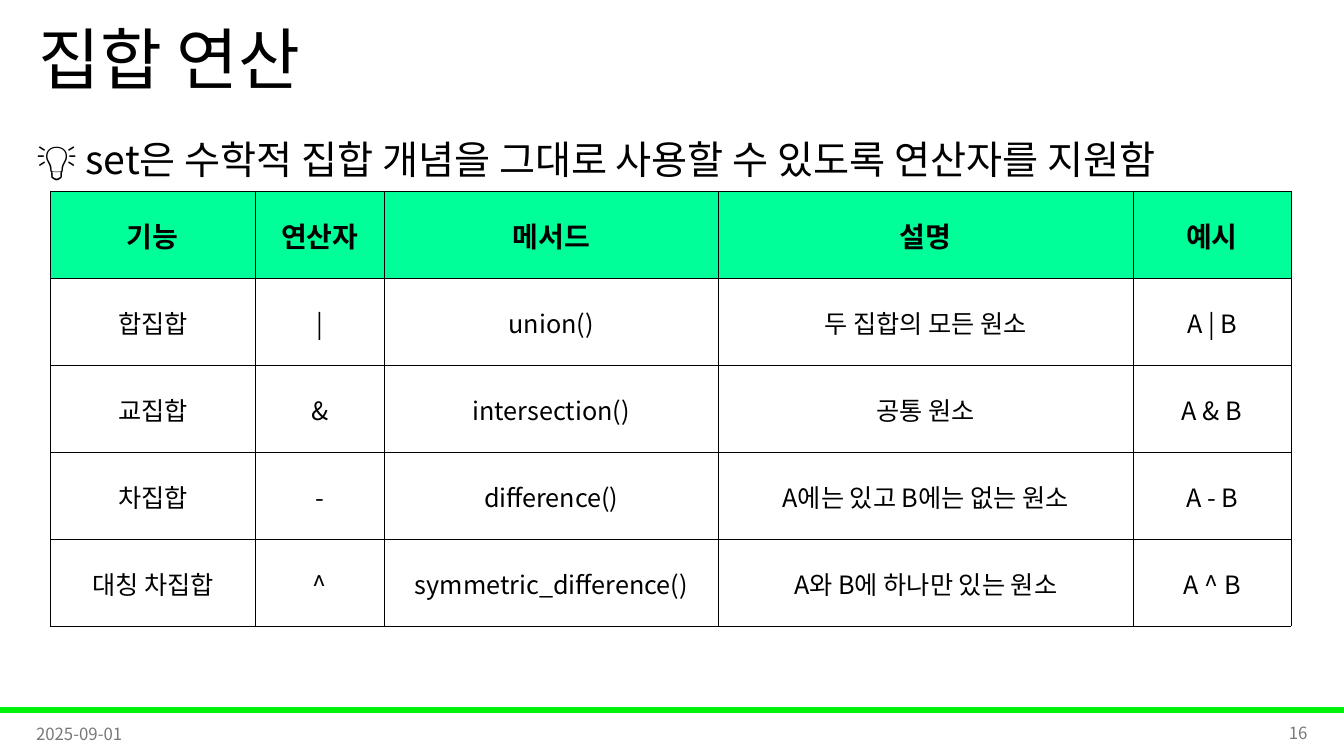
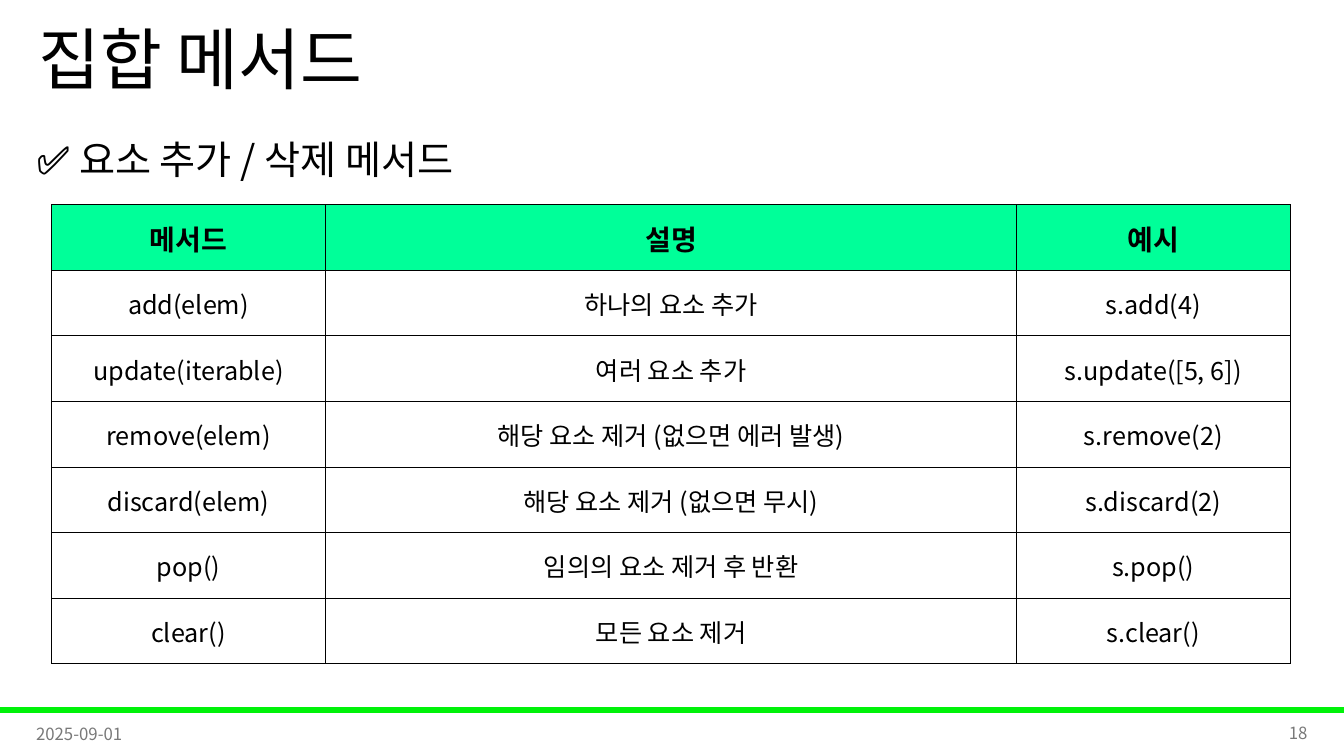
"""Build two slides on Python set operators and set methods."""
from dataclasses import dataclass

from lxml.etree import SubElement
from pptx import Presentation
from pptx.dml.color import RGBColor
from pptx.enum.shapes import MSO_SHAPE
from pptx.enum.text import MSO_ANCHOR, MSO_AUTO_SIZE, PP_ALIGN
from pptx.oxml import parse_xml
from pptx.oxml.ns import nsdecls, qn
from pptx.util import Pt


@dataclass(frozen=True)
class Theme:
    font: str = "Noto Sans CJK KR"
    ink: str = "000000"
    muted: str = "797979"
    band: str = "00F209"
    header: str = "00FF99"
    title_size: int = 48
    lead_size: int = 28
    header_size: int = 20
    cell_size: int = 18
    footer_size: int = 12
    rule_width: float = 0.5


THEME = Theme()
SLIDE_WIDTH, SLIDE_HEIGHT = 960, 540
TITLE_BOX = (20.16, 0, 828, 90)
LEAD_BOX = (18.72, 76.32, 921.6, 60.48)
BAND_BOX = (0, 505.44, SLIDE_WIDTH, 3.6)
DATE_BOX = (18.72, 509.76, 216, 28.8)
NUMBER_BOX = (725.04, 509.04, 216, 28.8)
DATE = "2025-09-01"

SLIDES = [
    {
        "title": "집합 연산",
        "lead": "💡 set은 수학적 집합 개념을 그대로 사용할 수 있도록 연산자를 지원함",
        "number": "16",
        "origin": (36, 136.8),
        "columns": (146.3, 92.2, 238.7, 296.1, 113),
        "row_height": 62.1,
        "rows": [
            ("기능", "연산자", "메서드", "설명", "예시"),
            ("합집합", "|", "union()", "두 집합의 모든 원소", "A | B"),
            ("교집합", "&", "intersection()", "공통 원소", "A & B"),
            ("차집합", "-", "difference()", "A에는 있고 B에는 없는 원소", "A - B"),
            ("대칭 차집합", "^", "symmetric_difference()", "A와 B에 하나만 있는 원소", "A ^ B"),
        ],
    },
    {
        "title": "집합 메서드",
        "lead": "✅ 요소 추가 / 삭제 메서드",
        "number": "18",
        "origin": (36.7, 146.1),
        "columns": (195.8, 493.7, 195.2),
        "row_height": 46.86,
        "rows": [
            ("메서드", "설명", "예시"),
            ("add(elem)", "하나의 요소 추가", "s.add(4)"),
            ("update(iterable)", "여러 요소 추가", "s.update([5, 6])"),
            ("remove(elem)", "해당 요소 제거 (없으면 에러 발생)", "s.remove(2)"),
            ("discard(elem)", "해당 요소 제거 (없으면 무시)", "s.discard(2)"),
            ("pop()", "임의의 요소 제거 후 반환", "s.pop()"),
            ("clear()", "모든 요소 제거", "s.clear()"),
        ],
    },
]


def color(value):
    return RGBColor.from_string(value)


def write(paragraph, text, size, ink=THEME.ink, bold=False, align=PP_ALIGN.LEFT):
    paragraph.alignment = align
    run = paragraph.add_run()
    run.text = text
    run.font.size = Pt(size)
    run.font.bold = bold
    run.font.color.rgb = color(ink)
    run.font.name = THEME.font
    SubElement(run.font._element, qn("a:ea"), typeface=THEME.font)


def place(shape, box):
    shape.left, shape.top, shape.width, shape.height = map(Pt, box)


def fill_frame(shape, anchor, text, size, **style):
    frame = shape.text_frame
    frame.word_wrap = True
    frame.auto_size = MSO_AUTO_SIZE.NONE
    frame.vertical_anchor = anchor
    paragraph = frame.paragraphs[0]
    write(paragraph, text, size, **style)
    return paragraph


def add_headings(slide, title, lead):
    heading, body = slide.placeholders
    place(heading, TITLE_BOX)
    fill_frame(heading, MSO_ANCHOR.MIDDLE, title, THEME.title_size).line_spacing = 0.9
    place(body, LEAD_BOX)
    paragraph = fill_frame(body, MSO_ANCHOR.TOP, lead, THEME.lead_size)
    paragraph.line_spacing = 1.5
    paragraph.space_before = Pt(10)
    properties = paragraph._p.get_or_add_pPr()
    properties.set("marL", "0")
    properties.set("indent", "0")
    SubElement(properties, qn("a:buNone"))


def add_footer(slide, number):
    band = slide.shapes.add_shape(MSO_SHAPE.RECTANGLE, *map(Pt, BAND_BOX))
    band.shadow.inherit = False
    band.fill.solid()
    band.fill.fore_color.rgb = color(THEME.band)
    band.line.color.rgb = color(THEME.band)
    band.line.width = Pt(1)
    for box, text, align in (
        (DATE_BOX, DATE, PP_ALIGN.LEFT),
        (NUMBER_BOX, number, PP_ALIGN.RIGHT),
    ):
        label = slide.shapes.add_textbox(*map(Pt, box))
        fill_frame(label, MSO_ANCHOR.MIDDLE, text, THEME.footer_size,
                   ink=THEME.muted, align=align)


def rule_cell(cell):
    properties = cell._tc.get_or_add_tcPr()
    for position, side in enumerate(("lnL", "lnR", "lnT", "lnB")):
        properties.insert(position, parse_xml(
            f'<a:{side} {nsdecls("a")} w="{Pt(THEME.rule_width)}"><a:solidFill>'
            f'<a:srgbClr val="{THEME.ink}"/></a:solidFill></a:{side}>'
        ))


def format_cell(cell, text, is_header):
    cell.margin_left = cell.margin_right = cell.margin_top = Pt(0.72)
    cell.margin_bottom = 0
    cell.vertical_anchor = MSO_ANCHOR.MIDDLE
    if is_header:
        cell.fill.solid()
        cell.fill.fore_color.rgb = color(THEME.header)
    else:
        cell.fill.background()
    rule_cell(cell)
    size = THEME.header_size if is_header else THEME.cell_size
    write(cell.text_frame.paragraphs[0], text, size, bold=is_header, align=PP_ALIGN.CENTER)


def add_grid(slide, origin, columns, row_height, rows):
    extent = (sum(columns), row_height * len(rows))
    table = slide.shapes.add_table(
        len(rows), len(columns), *map(Pt, origin + extent)).table
    table.horz_banding = False
    for column, width in zip(table.columns, columns):
        column.width = Pt(width)
    for index, texts in enumerate(rows):
        table.rows[index].height = Pt(row_height)
        for cell, text in zip(table.rows[index].cells, texts):
            format_cell(cell, text, index == 0)


def main():
    deck = Presentation()
    deck.slide_width, deck.slide_height = Pt(SLIDE_WIDTH), Pt(SLIDE_HEIGHT)
    for content in SLIDES:
        slide = deck.slides.add_slide(deck.slide_layouts[1])
        add_headings(slide, content["title"], content["lead"])
        add_footer(slide, content["number"])
        add_grid(slide, content["origin"], content["columns"],
                 content["row_height"], content["rows"])
    deck.save("out.pptx")


if __name__ == "__main__":
    main()
